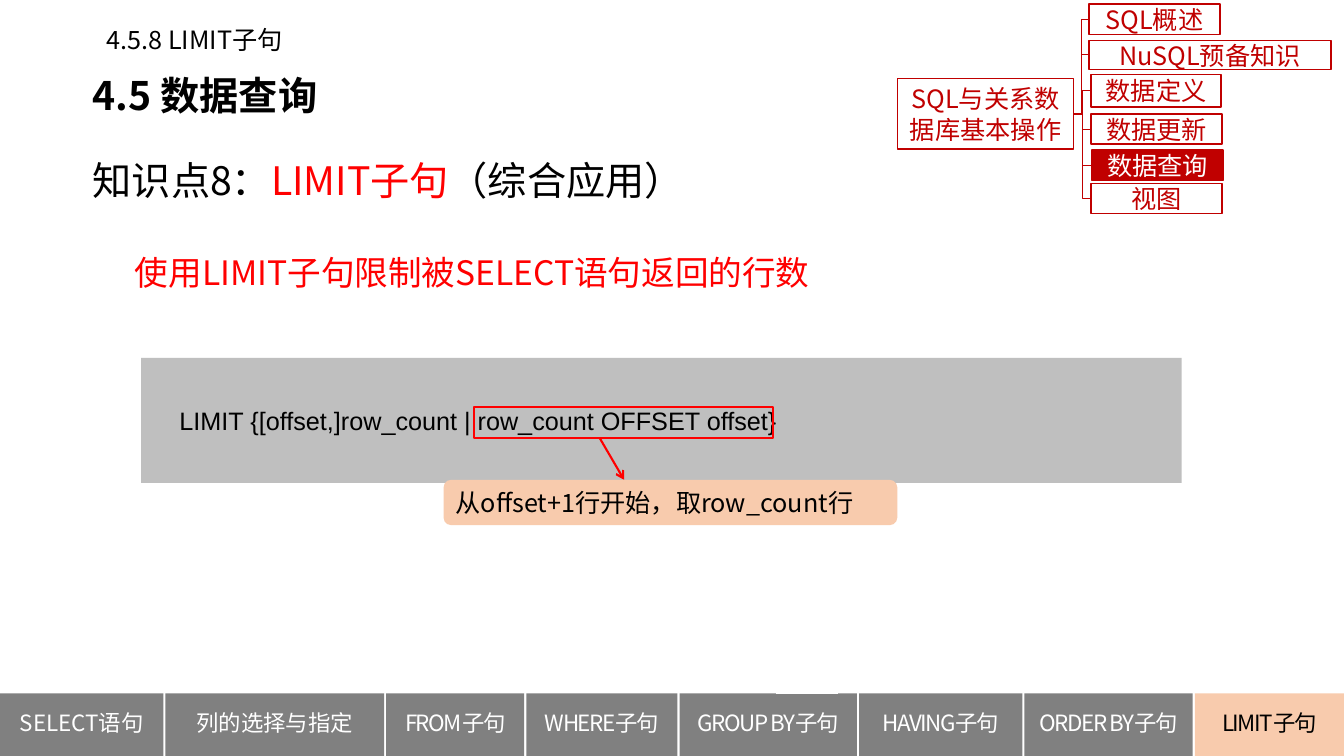
"""Build the slide on the LIMIT clause."""
from dataclasses import dataclass

import pptx
import pptx.dml.color
import pptx.enum.shapes
import pptx.enum.text
import pptx.oxml
import pptx.oxml.ns
import pptx.util

Inches = pptx.util.Inches
Pt = pptx.util.Pt
SHAPE = pptx.enum.shapes.MSO_SHAPE
CONNECTOR = pptx.enum.shapes.MSO_CONNECTOR
ALIGN = pptx.enum.text.PP_ALIGN
ANCHOR = pptx.enum.text.MSO_ANCHOR


@dataclass(frozen=True)
class Theme:
    """Colours, fonts and type sizes of the slide."""
    black: str = "000000"
    white: str = "FFFFFF"
    red: str = "FF0000"
    crimson: str = "C00000"
    silver: str = "BFBFBF"
    grey: str = "808080"
    peach: str = "F8CBAD"
    cjk: str = "Noto Sans CJK SC"
    cjk_note: str = "Noto Sans CJK JP"
    code: str = "Arial"
    title: int = 28
    lead: int = 24
    body: int = 18
    tab: int = 16


THEME = Theme()

TOPICS = [
    ("SQL概述", 10.8, 0.04, 1.3, 0.3),
    ("NuSQL预备知识", 10.8, 0.4, 2.4, 0.29),
    ("数据定义", 10.82, 0.74, 1.29, 0.32),
    ("数据更新", 10.82, 1.13, 1.3, 0.3),
    ("数据查询", 10.83, 1.49, 1.3, 0.3),
    ("视图", 10.82, 1.82, 1.3, 0.3),
]
CURRENT_TOPIC = "数据查询"

TABS = [
    ("SELECT语句", 1.62, 0),
    ("列的选择与指定", 2.17, 0),
    ("FROM子句", 1.37, -100),
    ("WHERE子句", 1.5, -100),
    ("GROUP BY子句", 1.76, -100),
    ("HAVING子句", 1.62, -100),
    ("ORDER BY子句", 1.67, -100),
    ("LIMIT子句", 1.48, -100),
]
CURRENT_TAB = "LIMIT子句"
TAB_GAP = 0.02


def rgb(value):
    """Turn a hex string into a colour."""
    return pptx.dml.color.RGBColor.from_string(value)


def write(shape, pieces, size, font=THEME.cjk, bold=False, align=ALIGN.LEFT,
          anchor=ANCHOR.MIDDLE, leading=None, tracking=0, wrap=True):
    """Write coloured pieces of text as one paragraph."""
    frame = shape.text_frame
    frame.word_wrap = wrap
    frame.vertical_anchor = anchor
    paragraph = frame.paragraphs[0]
    paragraph.alignment = align
    if leading:
        paragraph.line_spacing = leading
    for words, color in pieces:
        run = paragraph.add_run()
        run.text = words
        run.font.size = Pt(size)
        run.font.name = font
        run.font.bold = bold
        run.font.color.rgb = rgb(color)
        properties = run.font._element
        east_asian = pptx.oxml.parse_xml(
            f'<a:ea {pptx.oxml.ns.nsdecls("a")} typeface="{font}"/>')
        properties.find(pptx.oxml.ns.qn("a:latin")).addnext(east_asian)
        if tracking:
            properties.set("spc", str(tracking))


def add_text(shapes, box, pieces, size, inset=(0.1, 0.05), **style):
    """Add a text box."""
    label = shapes.add_textbox(*map(Inches, box))
    frame = label.text_frame
    frame.margin_left = frame.margin_right = Inches(inset[0])
    frame.margin_top = frame.margin_bottom = Inches(inset[1])
    write(label, pieces, size, **style)


def add_box(shapes, box, fill=None, line=None, weight=1, kind=SHAPE.RECTANGLE):
    """Add a flat box with an optional fill and outline."""
    panel = shapes.add_shape(kind, *map(Inches, box))
    panel.shadow.inherit = False
    if fill:
        panel.fill.solid()
        panel.fill.fore_color.rgb = rgb(fill)
    else:
        panel.fill.background()
    if line:
        panel.line.color.rgb = rgb(line)
        panel.line.width = Pt(weight)
    else:
        panel.line.fill.background()
    return panel


def add_line(shapes, ends, color, weight, kind=CONNECTOR.STRAIGHT, arrow=False):
    """Add a connector without shadow, with an optional arrowhead."""
    link = shapes.add_connector(kind, *map(Inches, ends))
    link.line.color.rgb = rgb(color)
    link.line.width = Pt(weight)
    if arrow:
        link.line._get_or_add_ln().append(pptx.oxml.parse_xml(
            f'<a:tailEnd {pptx.oxml.ns.nsdecls("a")} type="arrow"/>'))
    link._element.spPr.append(pptx.oxml.parse_xml(
        f'<a:effectLst {pptx.oxml.ns.nsdecls("a")}/>'))
    return link


def add_headings(shapes):
    """Add the section titles and the lead sentence."""
    add_text(shapes, (0.8, 1.15, 12.16, 1.04),
             [("知识点8：", THEME.black), ("LIMIT子句", THEME.red),
              ("（综合应用）", THEME.black)],
             THEME.title, inset=(0.12, 0.06), leading=1.5)
    add_text(shapes, (0.8, 0.65, 9.65, 0.59), [("4.5 数据查询", THEME.black)],
             THEME.title, inset=(0.12, 0.06), bold=True, anchor=ANCHOR.TOP)
    add_text(shapes, (1.24, 2.34, 10.94, 0.62),
             [("使用LIMIT子句限制被SELECT语句返回的行数", THEME.red)],
             THEME.lead, anchor=ANCHOR.TOP, leading=Pt(37))
    add_text(shapes, (0.96, 0.19, 2.02, 0.4), [("4.5.8 LIMIT子句", THEME.black)],
             THEME.body, anchor=ANCHOR.TOP, wrap=False)


def add_syntax(shapes):
    """Add the syntax panel with its highlighted part and explanation."""
    syntax = add_box(shapes, (1.4, 3.55, 10.32, 1.24), THEME.silver)
    syntax.text_frame.margin_left = Inches(0.38)
    write(syntax,
          [("LIMIT {[offset,]row_count | row_count OFFSET offset}", THEME.black)],
          THEME.body, font=THEME.code)
    add_line(shapes, (5.95, 4.35, 6.19, 4.76), THEME.red, 1.5, arrow=True)
    note = add_box(shapes, (4.4, 4.76, 4.5, 0.45), THEME.peach,
                   kind=SHAPE.ROUNDED_RECTANGLE)
    write(note, [("从offset+1行开始，取row_count行", THEME.black)],
          THEME.body, font=THEME.cjk_note, anchor=ANCHOR.TOP)
    add_box(shapes, (4.7, 4.04, 2.97, 0.31), line=THEME.red, weight=1.5)


def add_outline(shapes):
    """Add the chapter tree with the current topic marked."""
    chapter = add_box(shapes, (8.9, 0.78, 1.75, 0.7), THEME.white, THEME.crimson)
    write(chapter, [("SQL与关系数据库基本操作", THEME.crimson)], THEME.body,
          align=ALIGN.CENTER)
    for name, *box in TOPICS:
        fill, ink = THEME.white, THEME.crimson
        if name == CURRENT_TOPIC:
            fill, ink = ink, fill
        topic = add_box(shapes, box, fill, THEME.crimson)
        write(topic, [(name, ink)], THEME.body, align=ALIGN.CENTER)
        left, top, _, height = box
        branch = add_line(shapes, (10.65, 1.13, left, top + height / 2),
                          THEME.crimson, 0.5, kind=CONNECTOR.ELBOW)
        branch.begin_connect(chapter, 3)
        branch.end_connect(topic, 1)


def add_tabs(shapes):
    """Add the row of clause tabs along the bottom."""
    row = shapes.add_group_shape().shapes
    left = 0
    for name, width, tracking in TABS:
        fill, ink = THEME.grey, THEME.white
        if name == CURRENT_TAB:
            fill, ink = THEME.peach, THEME.black
        tab = add_box(row, (left, 6.88, width, 0.62), fill)
        write(tab, [(name, ink)], THEME.tab, align=ALIGN.CENTER,
              leading=Pt(16), tracking=tracking)
        left += width + TAB_GAP
    add_line(row, (7.7, 6.87, 8.31, 6.87), THEME.white, 1.5)


def main():
    """Build and save the slide."""
    deck = pptx.Presentation()
    deck.slide_width, deck.slide_height = Inches(13.33), Inches(7.5)
    shapes = deck.slides.add_slide(deck.slide_layouts[6]).shapes
    add_headings(shapes)
    add_syntax(shapes)
    add_outline(shapes)
    add_tabs(shapes)
    deck.save("out.pptx")


if __name__ == "__main__":
    main()
